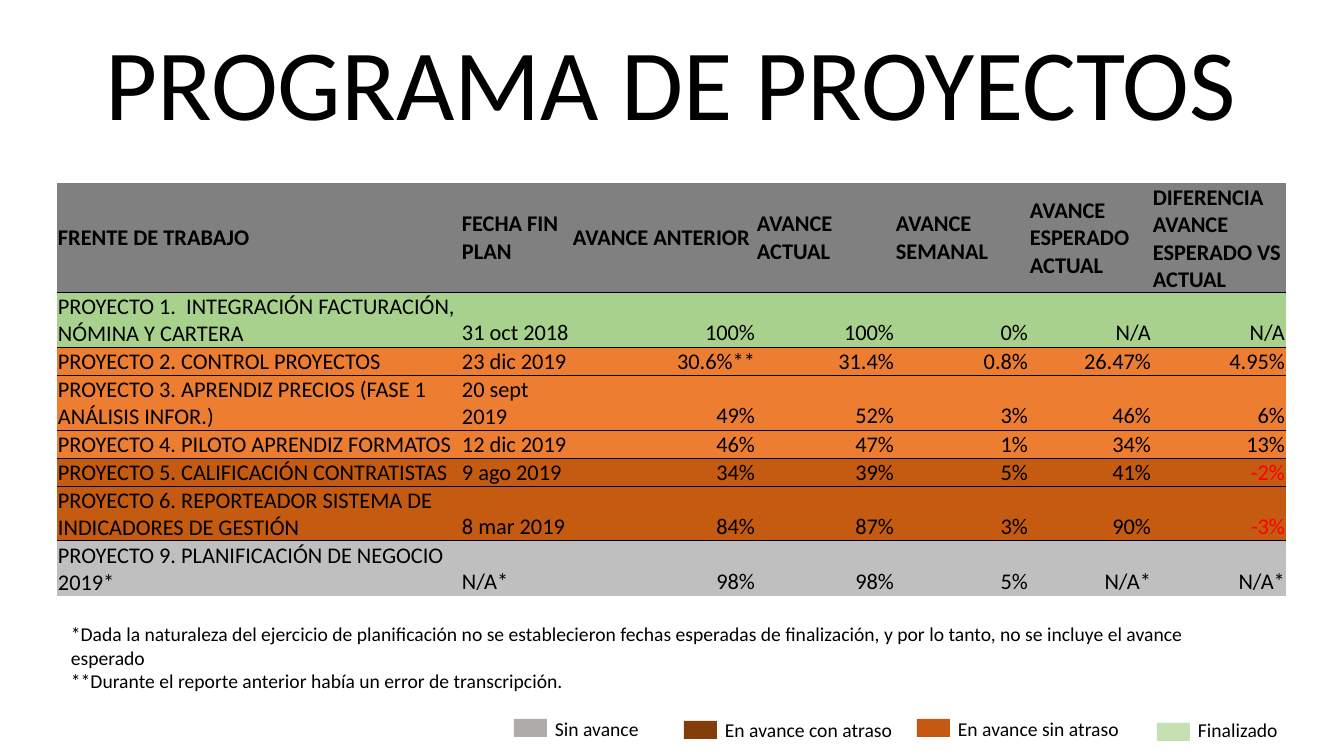
import lxml.etree
import pptx
import pptx.dml.color
import pptx.enum.shapes
import pptx.enum.text
import pptx.oxml
import pptx.oxml.ns
import pptx.util

RGBColor = pptx.dml.color.RGBColor
Align = pptx.enum.text.PP_ALIGN
Anchor = pptx.enum.text.MSO_ANCHOR

BLACK = RGBColor(0x00, 0x00, 0x00)
RED = RGBColor(0xFF, 0x00, 0x00)
HEADER_GRAY = RGBColor(0x80, 0x80, 0x80)
GREEN = RGBColor(0xA9, 0xD1, 0x8E)
ORANGE = RGBColor(0xED, 0x7D, 0x31)
DARK_ORANGE = RGBColor(0xC5, 0x5A, 0x11)
LIGHT_GRAY = RGBColor(0xBF, 0xBF, 0xBF)
LEGEND_GRAY = RGBColor(0xAF, 0xAB, 0xAB)
LEGEND_BROWN = RGBColor(0x84, 0x3C, 0x0B)
LEGEND_ORANGE = RGBColor(0xC6, 0x59, 0x11)
LEGEND_GREEN = RGBColor(0xC6, 0xE0, 0xB4)

PX = 914400 / 100.8
NO_TABLE_STYLE = "{2D5ABB26-0587-4C30-8999-92F81FD0307C}"
COLUMN_WIDTHS = [404, 111, 184, 139, 134, 123, 134]
PROJECT_ROWS = [
    (109, HEADER_GRAY, ["FRENTE DE TRABAJO", "FECHA FIN PLAN", "AVANCE ANTERIOR", "AVANCE ACTUAL",
                        "AVANCE SEMANAL", "AVANCE ESPERADO ACTUAL", "DIFERENCIA AVANCE ESPERADO VS ACTUAL"]),
    (55, GREEN, ["PROYECTO 1.  INTEGRACIÓN FACTURACIÓN, NÓMINA Y CARTERA", "31 oct 2018",
                 "100%", "100%", "0%", "N/A", "N/A"]),
    (28, ORANGE, ["PROYECTO 2. CONTROL PROYECTOS", "23 dic 2019",
                  "30.6%**", "31.4%", "0.8%", "26.47%", "4.95%"]),
    (55, ORANGE, ["PROYECTO 3. APRENDIZ PRECIOS (FASE 1 ANÁLISIS INFOR.)", "20 sept 2019",
                  "49%", "52%", "3%", "46%", "6%"]),
    (28, ORANGE, ["PROYECTO 4. PILOTO APRENDIZ FORMATOS", "12 dic 2019",
                  "46%", "47%", "1%", "34%", "13%"]),
    (28, DARK_ORANGE, ["PROYECTO 5. CALIFICACIÓN CONTRATISTAS", "9 ago 2019",
                       "34%", "39%", "5%", "41%", "-2%"]),
    (55, DARK_ORANGE, ["PROYECTO 6. REPORTEADOR SISTEMA DE INDICADORES DE GESTIÓN", "8 mar 2019",
                       "84%", "87%", "3%", "90%", "-3%"]),
    (55, LIGHT_GRAY, ["PROYECTO 9. PLANIFICACIÓN DE NEGOCIO 2019*", "N/A*",
                      "98%", "98%", "5%", "N/A*", "N/A*"]),
]
LEGEND = [
    (514, 719, "Sin avance", 195, LEGEND_GRAY, 712),
    (684, 721, "En avance con atraso", 195, LEGEND_BROWN, 713),
    (917, 719, "En avance sin atraso", 195, LEGEND_ORANGE, 712),
    (1157, 723, "Finalizado", 103, LEGEND_GREEN, 713),
]
NOTES = [
    "*Dada la naturaleza del ejercicio de planificación no se establecieron fechas esperadas de "
    "finalización, y por lo tanto, no se incluye el avance esperado",
    "**Durante el reporte anterior había un error de transcripción.",
]


def px(length):
    """Turn pixels into EMU."""
    return pptx.util.Emu(round(length * PX))


def write_text(frame, lines, size=14, color=BLACK, bold=False, align=Align.LEFT, font="Calibri"):
    """Write one formatted paragraph per line into a text frame."""
    frame.word_wrap = True
    for index, line in enumerate(lines):
        paragraph = frame.add_paragraph() if index else frame.paragraphs[0]
        paragraph.alignment = align
        run = paragraph.add_run()
        run.text = line
        run.font.name = font
        run.font.size = pptx.util.Pt(size)
        run.font.bold = bold
        run.font.color.rgb = color


class SlideBuilder:
    """Draws the elements of the project programme on one slide."""

    def __init__(self, slide):
        """Keep the slide and the shared border style."""
        self.slide = slide
        self.border_color = BLACK
        self.border_width = pptx.util.Pt(0.5)

    def text(self, left, top, width, height, lines, **style):
        """Add a text box that grows with its lines."""
        box = self.slide.shapes.add_textbox(px(left), px(top), px(width), px(height))
        write_text(box.text_frame, lines, **style)
        box.text_frame.auto_size = pptx.enum.text.MSO_AUTO_SIZE.SHAPE_TO_FIT_TEXT

    def swatch(self, left, top, color):
        """Add a legend rectangle."""
        shape = self.slide.shapes.add_shape(
            pptx.enum.shapes.MSO_SHAPE.RECTANGLE, px(left), px(top), px(33), px(18))
        shape.shadow.inherit = False
        shape.fill.solid()
        shape.fill.fore_color.rgb = color
        shape.line.fill.background()

    def border(self, cell, side):
        """Add a border line to one side of a cell."""
        name = pptx.oxml.ns.qn
        properties = cell._tc.get_or_add_tcPr()
        line = lxml.etree.SubElement(properties, name(f"a:{side}"), w=str(self.border_width))
        fill = lxml.etree.SubElement(line, name("a:solidFill"))
        lxml.etree.SubElement(fill, name("a:srgbClr"), val=str(self.border_color))

    def cell(self, cell, text, fill, sides, anchor, **style):
        """Format and fill one table cell."""
        cell.margin_left = cell.margin_right = cell.margin_top = px(1)
        cell.margin_bottom = 0
        cell.vertical_anchor = anchor
        for side in sides:
            self.border(cell, side)
        cell.fill.solid()
        cell.fill.fore_color.rgb = fill
        write_text(cell.text_frame, [text], size=16, **style)

    def table(self, left, top, widths, rows):
        """Add the table of projects with lines between its rows."""
        height = sum(row[0] for row in rows)
        table = self.slide.shapes.add_table(
            len(rows), len(widths), px(left), px(top), px(sum(widths)), px(height)).table
        table.first_row = table.horz_banding = False
        table._tbl.tblPr.find(pptx.oxml.ns.qn("a:tableStyleId")).text = NO_TABLE_STYLE
        for column, width in zip(table.columns, widths):
            column.width = px(width)
        for row_index, (row_height, fill, texts) in enumerate(rows):
            table.rows[row_index].height = px(row_height)
            header = row_index == 0
            sides = ([] if header else ["lnT"]) + (["lnB"] if row_index < len(rows) - 1 else [])
            for column_index, text in enumerate(texts):
                self.cell(
                    table.cell(row_index, column_index), text, fill, sides,
                    Anchor.MIDDLE if header else Anchor.BOTTOM,
                    bold=header,
                    color=RED if text.startswith("-") else BLACK,
                    align=Align.LEFT if header or column_index < 2 else Align.RIGHT)


def main():
    """Build and save the presentation."""
    presentation = pptx.Presentation()
    presentation.slide_width = px(1344)
    presentation.slide_height = px(756)
    builder = SlideBuilder(presentation.slides.add_slide(presentation.slide_layouts[6]))
    builder.text(61, 15, 1220, 132, ["PROGRAMA DE PROYECTOS"], size=72, align=Align.CENTER)
    builder.table(57, 183, COLUMN_WIDTHS, PROJECT_ROWS)
    for left, top, label, width, color, label_top in LEGEND:
        builder.swatch(left, top, color)
        builder.text(left + 31, label_top, width, 34, [label])
    builder.text(61, 617, 1210, 82, NOTES)
    presentation.save("out.pptx")


if __name__ == "__main__":
    main()
